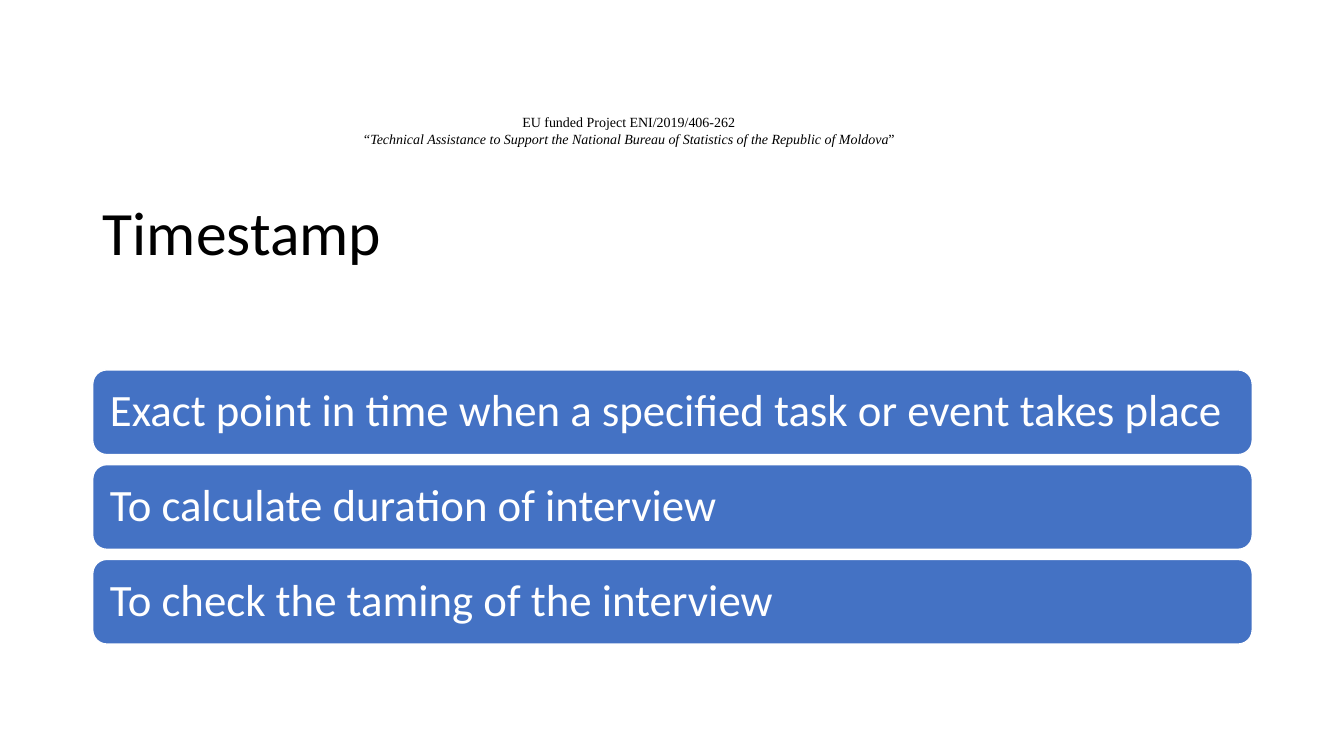
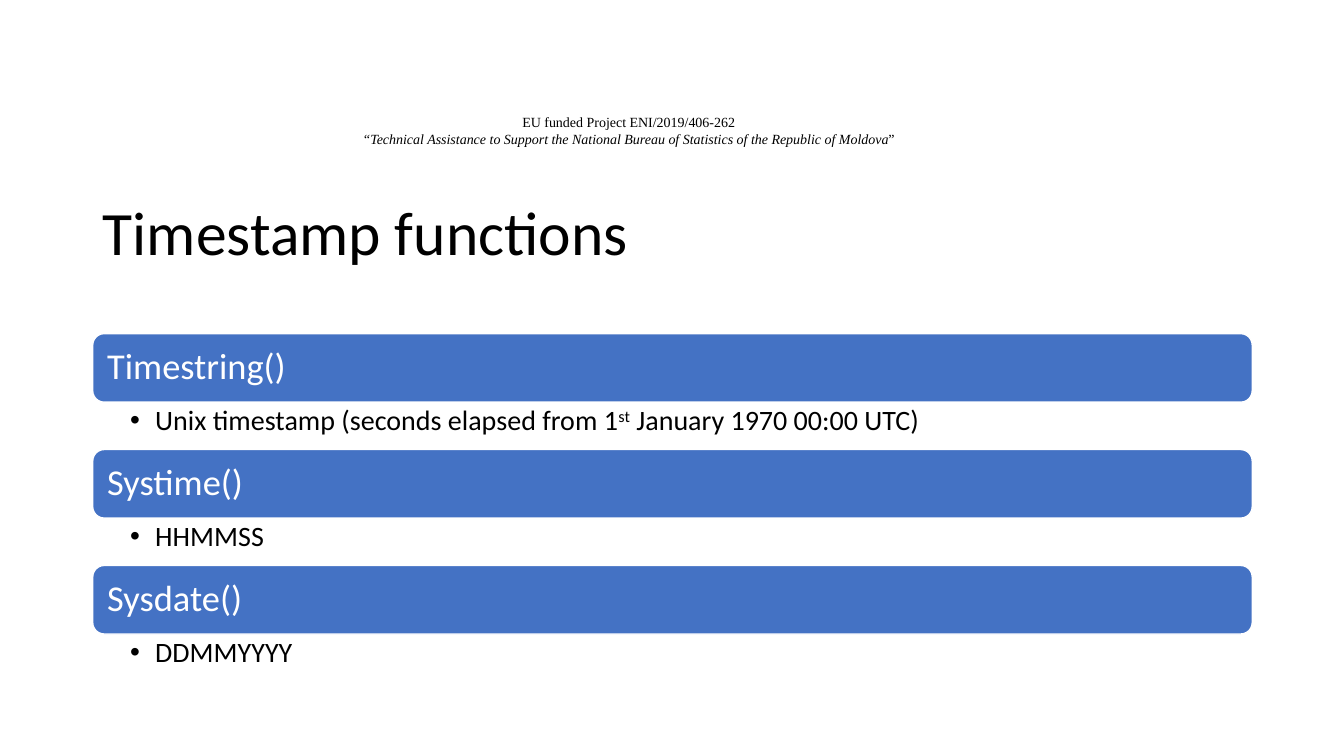
from lxml.etree import SubElement
from pptx import Presentation
from pptx.dml.color import RGBColor
from pptx.enum.shapes import MSO_SHAPE
from pptx.enum.text import MSO_ANCHOR, MSO_AUTO_SIZE, PP_ALIGN
from pptx.oxml.ns import qn
from pptx.util import Inches, Pt

BLACK = RGBColor(0x00, 0x00, 0x00)
WHITE = RGBColor(0xFF, 0xFF, 0xFF)
BLUE = RGBColor(0x44, 0x72, 0xC4)

PROJECT_LINES = [
    ["EU funded Project ENI/2019/406-262"],
    [
        ("“Technical Assistance to Support the National Bureau of Statistics"
         " of the Republic of Moldova", "italic"),
        "”",
    ],
]
PURPOSES = [
    "Exact point in time when a specified task or event takes place",
    "To calculate duration of interview",
    "To check the taming of the interview",
]
FUNCTIONS = [
    ("Timestring()", ["Unix timestamp (seconds elapsed from 1",
                      ("st", "superscript"), " January 1970 00:00 UTC)"]),
    ("Systime()", ["HHMMSS"]),
    ("Sysdate()", ["DDMMYYYY"]),
]


def write_text(frame, lines, *, size, color=BLACK, font="Calibri",
               align=PP_ALIGN.LEFT, anchor=MSO_ANCHOR.TOP, spacing=0.9,
               margins=(0.1, 0.05, 0.1, 0.05), bullet=False):
    frame.word_wrap = True
    frame.auto_size = MSO_AUTO_SIZE.NONE
    frame.vertical_anchor = anchor
    (frame.margin_left, frame.margin_top,
     frame.margin_right, frame.margin_bottom) = map(Inches, margins)
    for index, pieces in enumerate(lines):
        paragraph = frame.paragraphs[0] if index == 0 else frame.add_paragraph()
        paragraph.alignment = align
        paragraph.line_spacing = spacing
        if bullet:
            properties = paragraph._p.get_or_add_pPr()
            properties.set("marL", str(Inches(0.25)))
            properties.set("indent", str(-Inches(0.25)))
            SubElement(properties, qn("a:buFont")).set("typeface", "Arial")
            SubElement(properties, qn("a:buChar")).set("char", "•")
        for piece in pieces:
            words, style = (piece, None) if isinstance(piece, str) else piece
            run = paragraph.add_run()
            run.text = words
            run.font.name = font
            run.font.size = Pt(size)
            run.font.color.rgb = color
            if style == "italic":
                run.font.italic = True
            elif style == "superscript":
                run._r.get_or_add_rPr().set("baseline", "30000")


class Deck:
    LEFT = 0.92
    WIDTH = 11.5

    def __init__(self):
        self.presentation = Presentation()
        self.presentation.slide_width = Inches(13.33)
        self.presentation.slide_height = Inches(7.5)
        self.slide = None

    def start_slide(self, title):
        layout = self.presentation.slide_layouts.get_by_name("Title Only")
        self.slide = self.presentation.slides.add_slide(layout)
        self.project_header()
        heading = self.slide.shapes.title
        heading.left, heading.top = Inches(self.LEFT), Inches(1.61)
        heading.width, heading.height = Inches(self.WIDTH), Inches(1.45)
        write_text(heading.text_frame, [[title]], size=44,
                   anchor=MSO_ANCHOR.MIDDLE)

    def project_header(self):
        header = self.slide.shapes.add_textbox(
            Inches(2.9), Inches(1.08), Inches(6.67), Inches(0.44))
        write_text(header.text_frame, PROJECT_LINES, size=10,
                   font="Times New Roman", align=PP_ALIGN.CENTER, spacing=1.0)

    def band(self, text, top, height, size, margin):
        band = self.slide.shapes.add_shape(
            MSO_SHAPE.ROUNDED_RECTANGLE, Inches(self.LEFT), Inches(top),
            Inches(self.WIDTH), Inches(height))
        band.shadow.inherit = False
        band.fill.solid()
        band.fill.fore_color.rgb = BLUE
        band.line.color.rgb = WHITE
        band.line.width = Pt(1)
        write_text(band.text_frame, [[text]], size=size, color=WHITE,
                   anchor=MSO_ANCHOR.MIDDLE, margins=(margin,) * 4)

    def detail(self, pieces, top, height):
        detail = self.slide.shapes.add_textbox(
            Inches(self.LEFT), Inches(top), Inches(self.WIDTH), Inches(height))
        write_text(detail.text_frame, [pieces], size=20,
                   margins=(0.37, 0.04, 0.2, 0.04), bullet=True)

    def save(self):
        self.presentation.save("out.pptx")


def main():
    deck = Deck()

    deck.start_slide("Timestamp")
    for row, purpose in enumerate(PURPOSES):
        deck.band(purpose, 3.67 + row * 0.94, 0.84, size=32, margin=0.13)

    deck.start_slide("Timestamp functions")
    band_height, detail_height = 0.68, 0.47
    for row, (function, meaning) in enumerate(FUNCTIONS):
        top = 3.31 + row * (band_height + detail_height)
        deck.band(function, top, band_height, size=26, margin=0.11)
        deck.detail(meaning, top + band_height, detail_height)

    deck.save()


if __name__ == "__main__":
    main()
